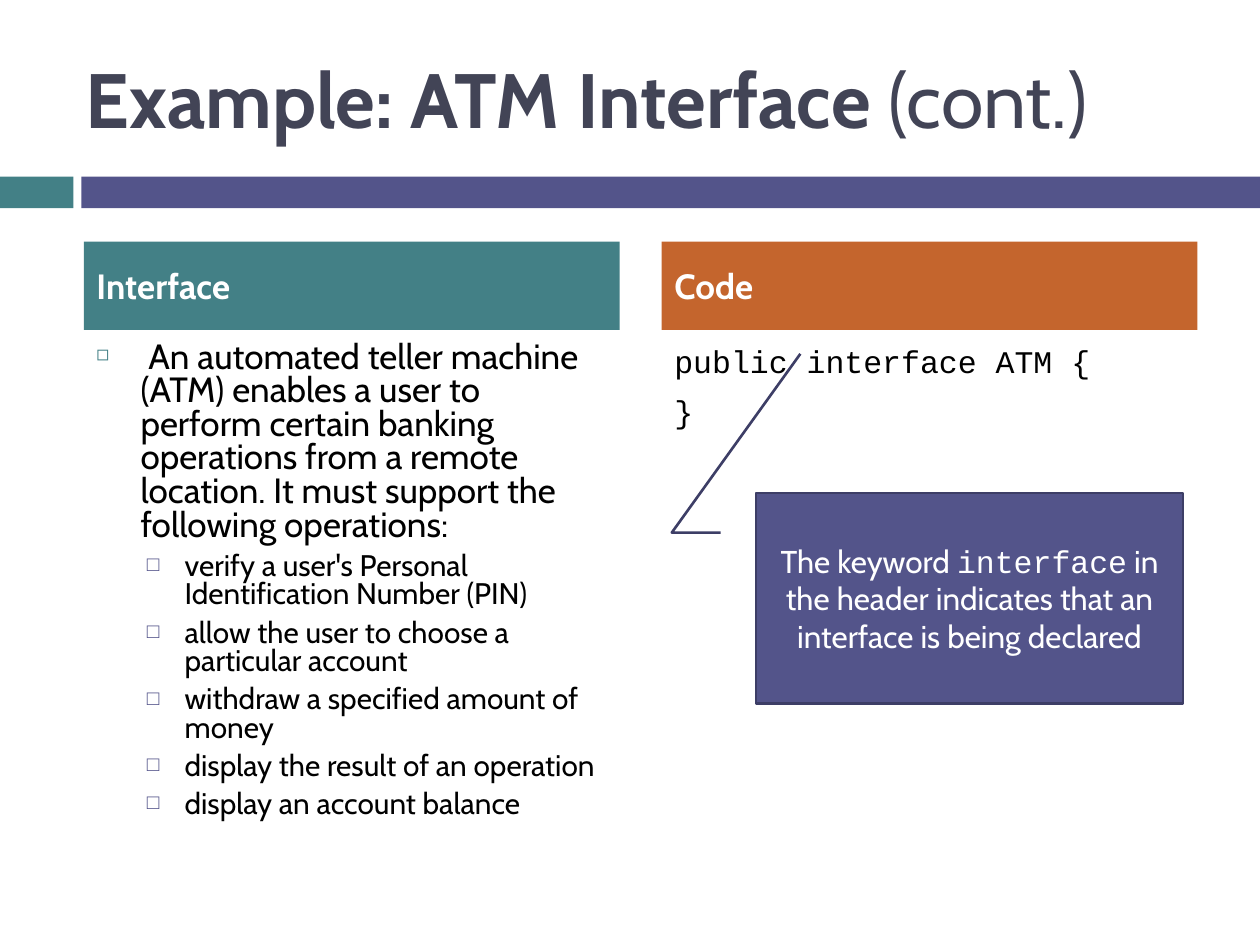
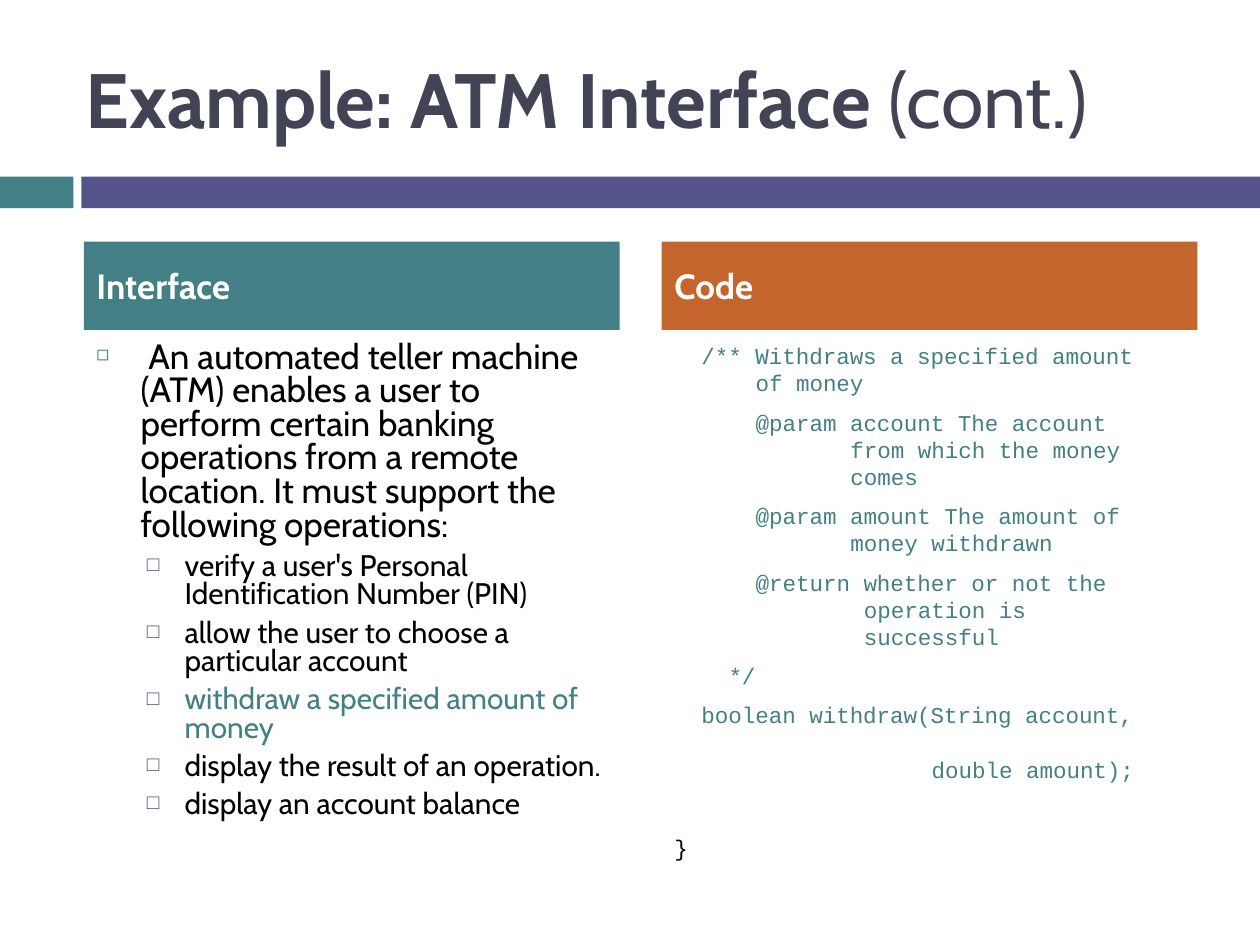
"""Build two slides on declaring an ATM interface, in two columns."""
import dataclasses

import lxml.etree
import pptx
import pptx.dml.color
import pptx.enum.shapes
import pptx.enum.text
import pptx.oxml.ns
import pptx.util

Cm = pptx.util.Cm
Pt = pptx.util.Pt
ANCHOR = pptx.enum.text.MSO_ANCHOR
ALIGN = pptx.enum.text.PP_ALIGN
SHAPE = pptx.enum.shapes.MSO_SHAPE

COLORS = {
    "teal": "438086",
    "violet": "53548A",
    "outline": "3D3E66",
    "orange": "C4652D",
    "title": "424456",
    "black": "000000",
    "white": "FFFFFF",
}
SANS, MONO = "Cabin", "Courier New"
CODE_SIZE = 12.9
CODE_COLUMN = 0.6 * CODE_SIZE

INTRO = (" An automated teller machine (ATM) enables a user to perform certain "
         "banking operations from a remote location. It must support the "
         "following operations:")
OPERATIONS = [
    "verify a user's Personal Identification Number (PIN)",
    "allow the user to choose a particular account",
    "withdraw a specified amount of money",
]
BALANCE = "display an account balance"


@dataclasses.dataclass
class Box:
    """A rectangle in centimetres."""
    left: float
    top: float
    width: float
    height: float

    def place(self, shape):
        """Move and size a shape to this rectangle."""
        shape.left, shape.top = Cm(self.left), Cm(self.top)
        shape.width, shape.height = Cm(self.width), Cm(self.height)

    def lengths(self):
        """Return the four lengths that add_shape expects."""
        return Cm(self.left), Cm(self.top), Cm(self.width), Cm(self.height)


TITLE_BOX = Box(1.47, 0.76, 22.66, 2.41)
BAND_BOX = Box(0, 3.56, 25.4, 0.64)
COLUMN_TOP, COLUMN_WIDTH, COLUMN_HEIGHT = 4.87, 10.8, 11.86
INTERFACE_BOX = Box(1.69, COLUMN_TOP, COLUMN_WIDTH, COLUMN_HEIGHT)
CODE_BOX = Box(13.34, COLUMN_TOP, COLUMN_WIDTH, COLUMN_HEIGHT)
HEADING_HEIGHT, HEADING_GAP = 1.78, 0.12


def rgb(name):
    """Return the named colour."""
    return pptx.dml.color.RGBColor.from_string(COLORS[name])


def fill_solid(shape, color):
    """Fill a shape with a named colour."""
    shape.fill.solid()
    shape.fill.fore_color.rgb = rgb(color)


def set_font(font, name, size, color, bold=False):
    """Set the face, size, colour and weight of a font."""
    font.name, font.size, font.bold = name, Pt(size), bold
    font.color.rgb = rgb(color)


def set_bullet(paragraph, margin, indent, symbol=None, color=None, percent=100):
    """Set the indents in points and the bullet, or no bullet."""
    properties = paragraph._p.get_or_add_pPr()
    properties.set("marL", str(int(Pt(margin))))
    properties.set("indent", str(int(Pt(indent))))

    def add(parent, tag, **attributes):
        """Append a drawing element to a parent."""
        return lxml.etree.SubElement(parent, pptx.oxml.ns.qn(tag), **attributes)

    if symbol is None:
        add(properties, "a:buNone")
        return
    add(add(properties, "a:buClr"), "a:srgbClr", val=COLORS[color])
    add(properties, "a:buSzPct", val=str(percent * 1000))
    add(properties, "a:buChar", char=symbol)


def prepare_frame(shape, anchor):
    """Return the text frame of a shape, wrapped, anchored and not shrunk."""
    frame = shape.text_frame
    frame.word_wrap = True
    frame.auto_size = pptx.enum.text.MSO_AUTO_SIZE.NONE
    frame.vertical_anchor = anchor
    return frame


def next_paragraph(frame, number, space_before=7, line_spacing=1.0):
    """Return the first paragraph of a frame or a new one, spaced."""
    paragraph = frame.add_paragraph() if number else frame.paragraphs[0]
    paragraph.alignment = ALIGN.LEFT
    paragraph.space_before = Pt(space_before)
    paragraph.line_spacing = line_spacing
    return paragraph


def add_bands(slide, layout, box):
    """Draw the two bands below the title and move them to the layout."""
    teal_width, violet_left = 1.48, 1.64
    pieces = [
        ("teal", Box(box.left, box.top, teal_width, box.height)),
        ("violet", Box(box.left + violet_left, box.top,
                       box.width - violet_left, box.height)),
    ]
    for color, piece in pieces:
        band = slide.shapes.add_shape(SHAPE.RECTANGLE, *piece.lengths())
        band.shadow.inherit = False
        fill_solid(band, color)
        band.line.fill.background()
        layout.shapes.element.append(band.element)


def fill_title(shape, box):
    """Write the title with its light ending."""
    box.place(shape)
    paragraph = prepare_frame(shape, ANCHOR.MIDDLE).paragraphs[0]
    paragraph.alignment = ALIGN.LEFT
    for text, bold in [("Example: ATM Interface ", True), ("(cont.)", False)]:
        run = paragraph.add_run()
        run.text = text
        set_font(run.font, SANS, 44, "title", bold)


def fill_column(heading, body, box, text, color):
    """Place a heading over its body and return the frame of the body."""
    Box(box.left, box.top, box.width, HEADING_HEIGHT).place(heading)
    fill_solid(heading, color)
    paragraph = next_paragraph(prepare_frame(heading, ANCHOR.MIDDLE), 0)
    paragraph.text = text
    set_bullet(paragraph, 0, 0)
    set_font(paragraph.font, SANS, 20, "white", True)
    offset = HEADING_HEIGHT + HEADING_GAP
    Box(box.left, box.top + offset, box.width, box.height - offset).place(body)
    return prepare_frame(body, ANCHOR.TOP)


def write_operations(frame, operations, highlighted):
    """List the introduction and the operations, one perhaps highlighted."""
    intro = next_paragraph(frame, 0, 7, 0.8)
    intro.text = INTRO
    set_bullet(intro, 25.2, -25.2, "\u25fb", "teal", 60)
    set_font(intro.font, SANS, 20, "black")
    for number, operation in enumerate(operations, 1):
        paragraph = next_paragraph(frame, number, 5.5, 0.8)
        paragraph.text = operation
        paragraph.level = 1
        set_bullet(paragraph, 50.4, -21.6, "\u25a1", "violet", 70)
        color = "teal" if operation == highlighted else "black"
        set_font(paragraph.font, SANS, 17, color)


def write_code(frame, lines, size):
    """Write code as (text, first column, next column, space, colour) rows."""
    for number, (text, first, following, space, color) in enumerate(lines):
        paragraph = next_paragraph(frame, number, space)
        paragraph.text = text
        set_bullet(paragraph, following * CODE_COLUMN,
                   (first - following) * CODE_COLUMN)
        set_font(paragraph.font, MONO, size, color)


def add_callout(slide, box):
    """Explain the keyword in a callout that points into the code column."""
    area = Box(box.left + 1.9, box.top + 5.07, 8.61, 4.24)
    callout = slide.shapes.add_shape(SHAPE.LINE_CALLOUT_2, *area.lengths())
    for number, value in enumerate([0.188, -0.083, 0.188, -0.197, -0.662, 0.104]):
        callout.adjustments[number] = value
    callout.shadow.inherit = False
    fill_solid(callout, "violet")
    callout.line.color.rgb = rgb("outline")
    callout.line.width = Pt(1.5)
    paragraph = prepare_frame(callout, ANCHOR.MIDDLE).paragraphs[0]
    paragraph.alignment = ALIGN.CENTER
    pieces = [
        ("The keyword ", SANS),
        ("interface", MONO),
        (" in the header indicates that an interface is being declared", SANS),
    ]
    for text, name in pieces:
        run = paragraph.add_run()
        run.text = text
        set_font(run.font, name, 18, "white")


def build_slide(presentation, layout, operations, highlighted, code, code_size):
    """Add one slide with its title and both columns."""
    slide = presentation.slides.add_slide(layout)
    title, left_heading, left_body, right_heading, right_body = slide.placeholders
    fill_title(title, TITLE_BOX)
    frame = fill_column(left_heading, left_body, INTERFACE_BOX, "Interface", "teal")
    write_operations(frame, operations, highlighted)
    frame = fill_column(right_heading, right_body, CODE_BOX, "Code", "orange")
    write_code(frame, code, code_size)
    return slide


def main():
    """Build and save the presentation."""
    presentation = pptx.Presentation()
    presentation.slide_width, presentation.slide_height = Cm(25.4), Cm(19.05)
    layout = presentation.slide_layouts.get_by_name("Comparison")

    header = [
        ("public interface ATM {", 0, 0, 7, "black"),
        ("}", 0, 0, 7, "black"),
    ]
    slide = build_slide(
        presentation, layout,
        OPERATIONS + ["display the result of an operation", BALANCE],
        None, header, 18)
    add_callout(slide, CODE_BOX)
    add_bands(slide, layout, BAND_BOX)

    method = [
        ("/** Withdraws a specified amount\vof money", 2, 6, 7, "teal"),
        ("@param account The account\vfrom which the money\vcomes", 6, 13, 7, "teal"),
        ("@param amount The amount of\vmoney withdrawn", 6, 13, 7, "teal"),
        ("@return whether or not the\voperation is\vsuccessful", 6, 14, 7, "teal"),
        ("*/", 4, 4, 7, "teal"),
        ("boolean withdraw(String account,", 2, 2, 7, "teal"),
        ("double amount);", 19, 19, 15.5, "teal"),
        ("}", 0, 0, 29.5, "black"),
    ]
    build_slide(
        presentation, layout,
        OPERATIONS + ["display the result of an operation.", BALANCE],
        OPERATIONS[2], method, CODE_SIZE)
    presentation.save("out.pptx")


main()
